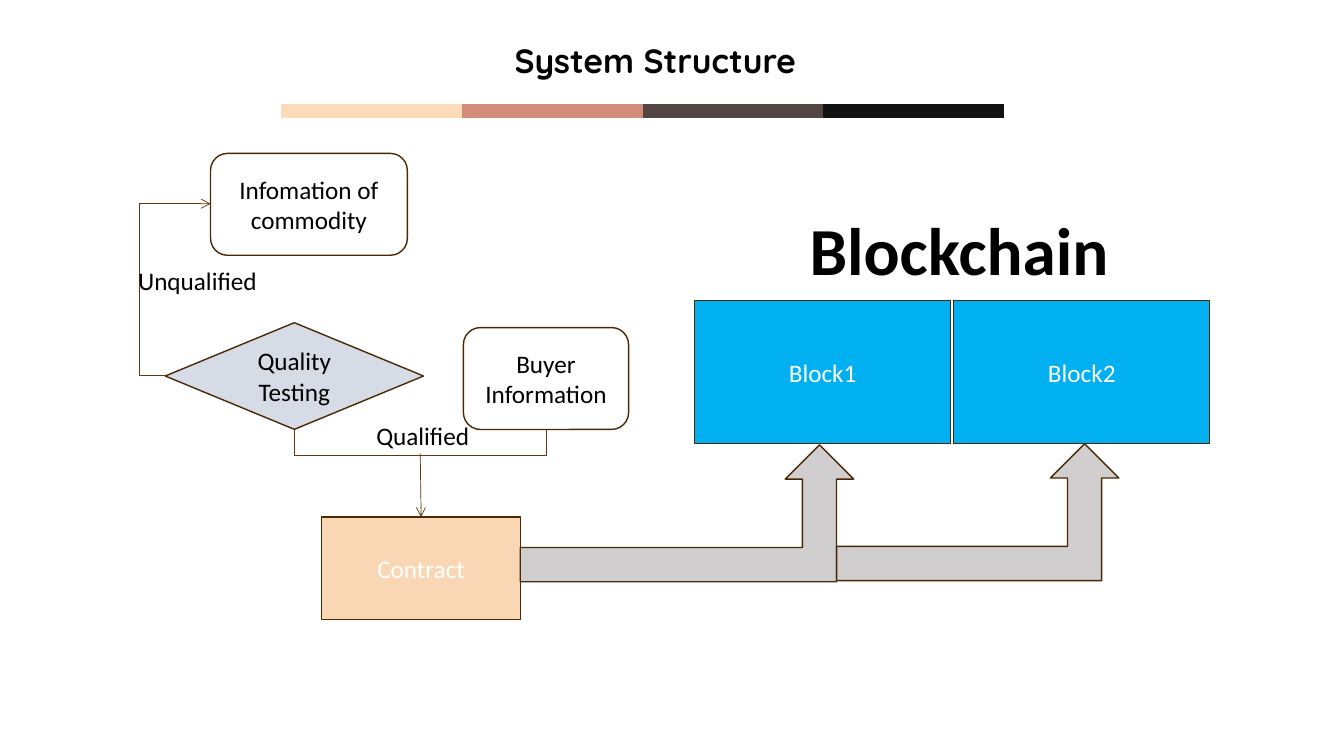
from dataclasses import dataclass

from lxml import etree
from pptx import Presentation
from pptx.dml.color import RGBColor as RGB
from pptx.enum.shapes import MSO_CONNECTOR as LINE, MSO_SHAPE as SHAPE
from pptx.enum.text import MSO_ANCHOR as ANCHOR, PP_ALIGN as ALIGN
from pptx.oxml.ns import qn
from pptx.util import Pt


@dataclass(frozen=True)
class Theme:
    font: str = "Calibri"
    title_font: str = "Quicksand"
    body: int = 18
    title: int = 24
    banner: int = 48
    black: str = "000000"
    white: str = "FFFFFF"
    outline: str = "4B2805"
    link: str = "653607"
    test: str = "D6DCE5"
    contract: str = "FAD7B4"
    arrow: str = "D0CECE"
    block: str = "00B0F0"
    stripes: tuple = ("FDDAB8", "D28C79", "534544", "121212")


T = Theme()


def write(shape, text, size=T.body, color=T.black, font=T.font, bold=False, align=ALIGN.CENTER):
    shape.text_frame.text = text
    p = shape.text_frame.paragraphs[0]
    p.alignment = align
    f = p.runs[0].font
    f.name, f.size, f.bold = font, Pt(size), bold
    f.color.rgb = RGB.from_string(color)
    return p


def style_line(shape, color, width, arrow=False):
    """Set the outline, drop the shadow and optionally end in an open arrowhead."""
    shape.line.color.rgb = RGB.from_string(color)
    shape.line.width = Pt(width)
    sp_pr = shape._element.spPr
    if arrow:
        etree.SubElement(sp_pr.find(qn("a:ln")), qn("a:tailEnd"), type="arrow")
    if sp_pr.find(qn("a:effectLst")) is None:
        etree.SubElement(sp_pr, qn("a:effectLst"))


prs = Presentation()
prs.slide_width, prs.slide_height = Pt(960), Pt(540)
s = prs.slides.add_slide(prs.slide_layouts[5])

# Title and striped rule
title = s.shapes.title
title.left, title.top, title.width, title.height = Pt(299.5), Pt(30.2), Pt(337), Pt(28.8)
p = write(title, "System Structure", T.title, font=T.title_font, bold=True)
p.line_spacing = 0.9
tf = title.text_frame
tf.vertical_anchor = ANCHOR.MIDDLE
tf.margin_top = tf.margin_bottom = 0

stripe_left, stripe_width, stripe_y = 201, 129, 79.2
for i, color in enumerate(T.stripes):
    x = stripe_left + i * stripe_width
    stripe = s.shapes.add_connector(LINE.STRAIGHT, Pt(x), Pt(stripe_y), Pt(x + stripe_width), Pt(stripe_y))
    style_line(stripe, color, 10)

# Flowchart nodes, block arrows and blocks, from back to front
nodes = [
    (SHAPE.ROUNDED_RECTANGLE, 150.4, 109.6, 140.6, 72.8, T.white, "Infomation of commodity", T.black),
    (SHAPE.ROUNDED_RECTANGLE, 331, 234, 118, 72.8, T.white, "Buyer Information", T.black),
    (SHAPE.DIAMOND, 118, 230.5, 184.5, 76.2, T.test, "Quality Testing", T.black),
    (SHAPE.RECTANGLE, 229.6, 369.2, 142.4, 73.4, T.contract, "Contract", T.white),
    (SHAPE.BENT_UP_ARROW, 371.6, 317.8, 238.2, 97.8, T.arrow, "", None),
    (SHAPE.RECTANGLE, 496.2, 214.7, 182.9, 102.2, T.block, "Block1", T.white),
    (SHAPE.BENT_UP_ARROW, 597.6, 317, 201.6, 97.8, T.arrow, "", None),
    (SHAPE.RECTANGLE, 681.3, 214.7, 182.9, 102.2, T.block, "Block2", T.white),
]
for kind, x, y, w, h, fill, text, color in nodes:
    sp = s.shapes.add_shape(kind, Pt(x), Pt(y), Pt(w), Pt(h))
    sp.fill.solid()
    sp.fill.fore_color.rgb = RGB.from_string(fill)
    style_line(sp, T.outline, 1)
    if text:
        sp.text_frame.vertical_anchor = ANCHOR.MIDDLE
        write(sp, text, color=color)

# Links between the nodes
retry = s.shapes.add_connector(LINE.ELBOW, Pt(118), Pt(268.5), Pt(150.4), Pt(145.6))
style_line(retry, T.link, 0.5, arrow=True)
guides = retry._element.spPr.find(qn("a:prstGeom")).get_or_add_avLst()
etree.SubElement(guides, qn("a:gd"), name="adj1", fmla="val -57900")

outline = s.shapes.build_freeform(210.2, 306.7, scale=Pt(1))
outline.add_line_segments([(210.2, 325.4), (390.3, 325.4), (390.3, 306.7)], close=False)
merge = outline.convert_to_shape()
merge.fill.background()
style_line(merge, T.link, 0.5)

to_contract = s.shapes.add_connector(LINE.STRAIGHT, Pt(300.2), Pt(324), Pt(300.8), Pt(369.2))
style_line(to_contract, T.link, 0.5, arrow=True)

# Labels
labels = [
    ("Unqualified", 91.6, 185.9, 161.3, 29, T.body, False, ALIGN.LEFT),
    ("Qualified", 261.7, 296.6, 161.3, 29, T.body, False, ALIGN.LEFT),
    ("Blockchain", 571, 145.6, 228.2, 65.4, T.banner, True, ALIGN.CENTER),
]
for text, x, y, w, h, size, bold, align in labels:
    box = s.shapes.add_textbox(Pt(x), Pt(y), Pt(w), Pt(h))
    box.text_frame.word_wrap = size == T.body
    write(box, text, size, bold=bold, align=align)

prs.save("out.pptx")
